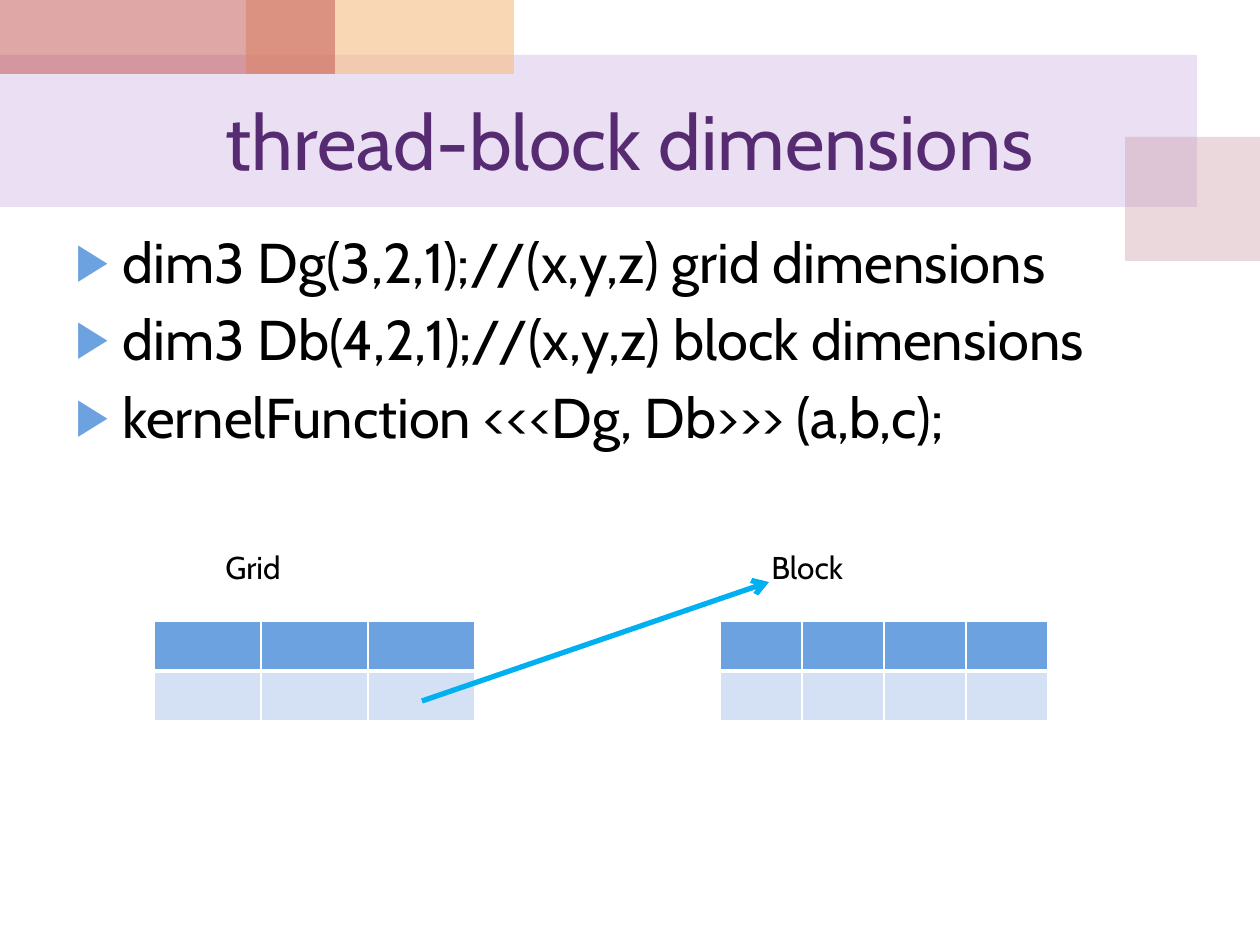
from lxml.etree import SubElement
from pptx import Presentation
from pptx.dml.color import RGBColor
from pptx.enum.shapes import MSO_CONNECTOR as Connector, MSO_SHAPE as Shape
from pptx.enum.text import MSO_ANCHOR as Anchor, PP_ALIGN as Align
from pptx.oxml import parse_xml
from pptx.oxml.ns import nsdecls, qn
from pptx.util import Emu, Pt

LILAC = RGBColor(0xBF, 0x98, 0xD8)
ROSE = RGBColor(0xCC, 0x9E, 0xAC)
PEACH = RGBColor(0xF5, 0xBC, 0x83)
RED = RGBColor(0xC0, 0x50, 0x4D)
PURPLE = RGBColor(0x56, 0x2B, 0x71)
BLACK = RGBColor(0, 0, 0)
BLUE = RGBColor(0x6B, 0xA2, 0xDF)
PALE_BLUE = RGBColor(0xD4, 0xE0, 0xF3)
WHITE = RGBColor(0xFF, 0xFF, 0xFF)
CYAN = RGBColor(0x00, 0xB0, 0xF0)
FONT = "Cabin"


def px(*lengths):
    return [Emu(round(length * 914400 / 126)) for length in lengths]


def add_text(left, top, width, height, text, size, color):
    box = page.shapes.add_textbox(*px(left, top, width, height))
    frame = box.text_frame
    frame.word_wrap = True
    frame.text = text
    for para in frame.paragraphs:
        for span in para.runs:
            span.font.name = FONT
            span.font.size = Pt(size)
            span.font.color.rgb = color
    return frame


deck = Presentation()
deck.slide_width, deck.slide_height = px(1260, 945)
page = deck.slides.add_slide(deck.slide_layouts[6])

# Translucent background bands
for *place, color, opacity in [
    (0, 55, 1197, 152, LILAC, 30),
    (1125, 137, 135, 124, ROSE, 40),
    (246, 0, 268, 74, PEACH, 60),
    (0, 0, 335, 74, RED, 50),
]:
    band = page.shapes.add_shape(Shape.RECTANGLE, *px(*place))
    band.shadow.inherit = False
    band.line.fill.background()
    band.fill.solid()
    band.fill.fore_color.rgb = color
    tint = band.fill._xPr.find(qn("a:solidFill"))[0]
    SubElement(tint, qn("a:alpha"), val=str(opacity * 1000))

# Title
title = add_text(63, 74, 1134, 132, "thread-block dimensions", 44, PURPLE)
title.vertical_anchor = Anchor.MIDDLE
title.paragraphs[0].alignment = Align.CENTER

# Bulleted code lines
code_lines = [
    "dim3 Dg(3,2,1);//(x,y,z) grid dimensions",
    "dim3 Db(4,2,1);//(x,y,z) block dimensions",
    "kernelFunction <<<Dg, Db>>> (a,b,c);",
]
body = add_text(63, 221, 1134, 624, "\n".join(code_lines), 32, BLACK)
indent = px(47)[0]
for index, para in enumerate(body.paragraphs):
    para.space_before = Pt(6 if index else 0)
    props = para._p.get_or_add_pPr()
    props.set("marL", str(indent))
    props.set("indent", str(-indent))
    bullet_color = SubElement(props, qn("a:buClr"))
    SubElement(bullet_color, qn("a:srgbClr"), val=str(BLUE))
    SubElement(props, qn("a:buSzPct"), val="90000")
    SubElement(props, qn("a:buFont"), typeface="Arial")
    SubElement(props, qn("a:buChar"), char="▶")

# Grid and block tables with their labels
ROW_HEIGHT = 50
for label, label_left, left, columns, column_width in [
    ("Block", 759, 720, 4, 82),
    ("Grid", 213, 154, 3, 107),
]:
    add_text(label_left, 542, 189, 50, label, 18, BLACK)
    place = px(left, 621, columns * column_width, 2 * ROW_HEIGHT)
    table = page.shapes.add_table(2, columns, *place).table
    for column in table.columns:
        column.width = px(column_width)[0]
    for row_index, (row, color) in enumerate(zip(table.rows, (BLUE, PALE_BLUE))):
        row.height = px(ROW_HEIGHT)[0]
        # The rule between the two rows is the thick one
        widths = {"L": 1, "R": 1, "T": 3 if row_index else 1, "B": 1 if row_index else 3}
        for cell in row.cells:
            cell.margin_top = cell.margin_bottom = 0
            cell.fill.solid()
            cell.fill.fore_color.rgb = color
            props = cell._tc.get_or_add_tcPr()
            for position, (side, width) in enumerate(widths.items()):
                props.insert(position, parse_xml(
                    f'<a:ln{side} {nsdecls("a")} w="{Pt(width)}"><a:solidFill>'
                    f'<a:srgbClr val="{WHITE}"/></a:solidFill></a:ln{side}>'))

# Arrow from one grid cell to the block
arrow = page.shapes.add_connector(Connector.STRAIGHT, *px(422, 701, 769, 582))
arrow.line.color.rgb = CYAN
arrow.line.width = Pt(3)
SubElement(arrow.line._get_or_add_ln(), qn("a:tailEnd"), type="arrow")
SubElement(arrow._element.spPr, qn("a:effectLst"))

deck.save("out.pptx")
